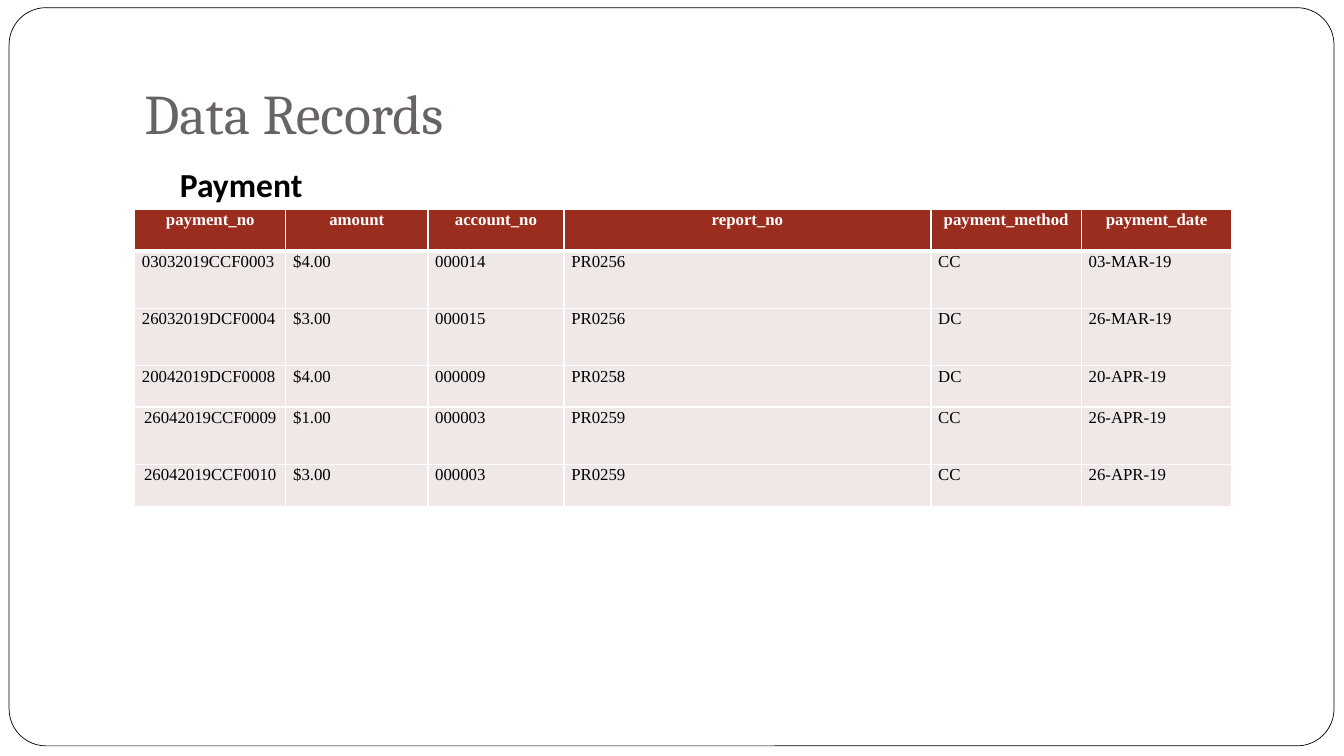
from lxml import etree
from pptx import Presentation
from pptx.dml.color import RGBColor
from pptx.enum import shapes, text
from pptx.oxml import ns
from pptx.util import Pt

WHITE = RGBColor(0xFF, 0xFF, 0xFF)
BLACK = RGBColor(0, 0, 0)
TITLE_GREY = RGBColor(0x69, 0x64, 0x64)
HEADER_RED = RGBColor(0x9B, 0x2D, 0x1F)
ROW_PINK = RGBColor(0xEF, 0xE8, 0xE7)

COLUMN_WIDTHS = (108, 101.5, 97.2, 262.1, 107.5, 107.5)
ROW_HEIGHTS = (29.5, 41, 41, 29.5, 41, 30)
HEADERS = ("payment_no", "amount", "account_no", "report_no",
           "payment_method", "payment_date")
PAYMENTS = (
    ("03032019CCF0003", "$4.00", "000014", "PR0256", "CC", "03-MAR-19"),
    ("26032019DCF0004", "$3.00", "000015", "PR0256", "DC", "26-MAR-19"),
    ("20042019DCF0008", "$4.00", "000009", "PR0258", "DC", "20-APR-19"),
    ("26042019CCF0009", "$1.00", "000003", "PR0259", "CC", "26-APR-19"),
    ("26042019CCF0010", "$3.00", "000003", "PR0259", "CC", "26-APR-19"),
)
CENTERED_NUMBERS = ("26042019CCF0009", "26042019CCF0010")


def write_text(frame, content, font, size, color, bold=False,
               align=text.PP_ALIGN.LEFT, line_spacing=1.0, space_before=0):
    paragraph = frame.paragraphs[0]
    paragraph.alignment = align
    paragraph.line_spacing = line_spacing
    paragraph.space_before = Pt(space_before)
    run = paragraph.add_run()
    run.text = content
    run.font.name = font
    run.font.size = Pt(size)
    run.font.bold = bold
    run.font.color.rgb = color
    return paragraph


def place(shape, left, top, width, height):
    shape.left, shape.top = Pt(left), Pt(top)
    shape.width, shape.height = Pt(width), Pt(height)


def add_page_frame(slide):
    frame = slide.shapes.add_shape(
        shapes.MSO_SHAPE.ROUNDED_RECTANGLE,
        Pt(6.5), Pt(5.5), Pt(946.4), Pt(527.3))
    frame.adjustments[0] = 0.05
    frame.shadow.inherit = False
    frame.fill.solid()
    frame.fill.fore_color.rgb = WHITE
    frame.line.color.rgb = BLACK
    frame.line.width = Pt(0.5)
    # Send behind the placeholders
    slide.shapes._spTree.insert(2, frame._element)


def fill_title(slide, content):
    title = slide.shapes.title
    place(title, 96, 21.6, 816, 90)
    frame = title.text_frame
    frame.auto_size = text.MSO_AUTO_SIZE.NONE
    frame.vertical_anchor = text.MSO_ANCHOR.BOTTOM
    frame.margin_bottom = Pt(7.2)
    write_text(frame, content, "Cambria", 40, TITLE_GREY)


def fill_body(slide, content):
    body = slide.placeholders[1]
    place(body, 96, 113.8, 816, 360)
    body.text_frame.auto_size = text.MSO_AUTO_SIZE.NONE
    paragraph = write_text(body.text_frame, content, "Calibri", 24, BLACK,
                           bold=True, space_before=3.7)
    paragraph.level = 1
    # Indent without a bullet
    properties = paragraph._p.get_or_add_pPr()
    properties.set("marL", str(Pt(25.2)))
    properties.set("indent", "0")
    etree.SubElement(properties, ns.qn("a:buNone"))


def set_borders(cell, bottom_width):
    properties = cell._tc.get_or_add_tcPr()
    widths = {"lnL": 1, "lnR": 1, "lnT": 1, "lnB": bottom_width}
    for position, (side, width) in enumerate(widths.items()):
        line = etree.Element(ns.qn(f"a:{side}"), w=str(Pt(width)))
        fill = etree.SubElement(line, ns.qn("a:solidFill"))
        etree.SubElement(fill, ns.qn("a:srgbClr"), val=str(WHITE))
        properties.insert(position, line)


def fill_cell(cell, content, is_header):
    cell.margin_left = cell.margin_right = Pt(5.2)
    cell.margin_top = cell.margin_bottom = 0
    cell.fill.solid()
    cell.fill.fore_color.rgb = HEADER_RED if is_header else ROW_PINK
    set_borders(cell, bottom_width=3 if is_header else 1)
    centered = is_header or content in CENTERED_NUMBERS
    write_text(cell.text_frame, content, "Times New Roman", 12,
               WHITE if is_header else BLACK, bold=is_header,
               align=text.PP_ALIGN.CENTER if centered else text.PP_ALIGN.LEFT,
               line_spacing=1.07)


def add_payment_table(slide):
    records = (HEADERS, *PAYMENTS)
    table = slide.shapes.add_table(
        len(records), len(HEADERS), Pt(96.2), Pt(149.8),
        Pt(sum(COLUMN_WIDTHS)), Pt(sum(ROW_HEIGHTS))).table
    for column, width in zip(table.columns, COLUMN_WIDTHS):
        column.width = Pt(width)
    for index, (row, height) in enumerate(zip(table.rows, ROW_HEIGHTS)):
        row.height = Pt(height)
        for cell, content in zip(row.cells, records[index]):
            fill_cell(cell, content, is_header=index == 0)


def main():
    presentation = Presentation()
    presentation.slide_width, presentation.slide_height = Pt(960), Pt(540)
    slide = presentation.slides.add_slide(presentation.slide_layouts[1])

    # Background outline
    add_page_frame(slide)

    # Headings
    fill_title(slide, "Data Records")
    fill_body(slide, "Payment")

    # Records
    add_payment_table(slide)
    presentation.save("out.pptx")


if __name__ == "__main__":
    main()
